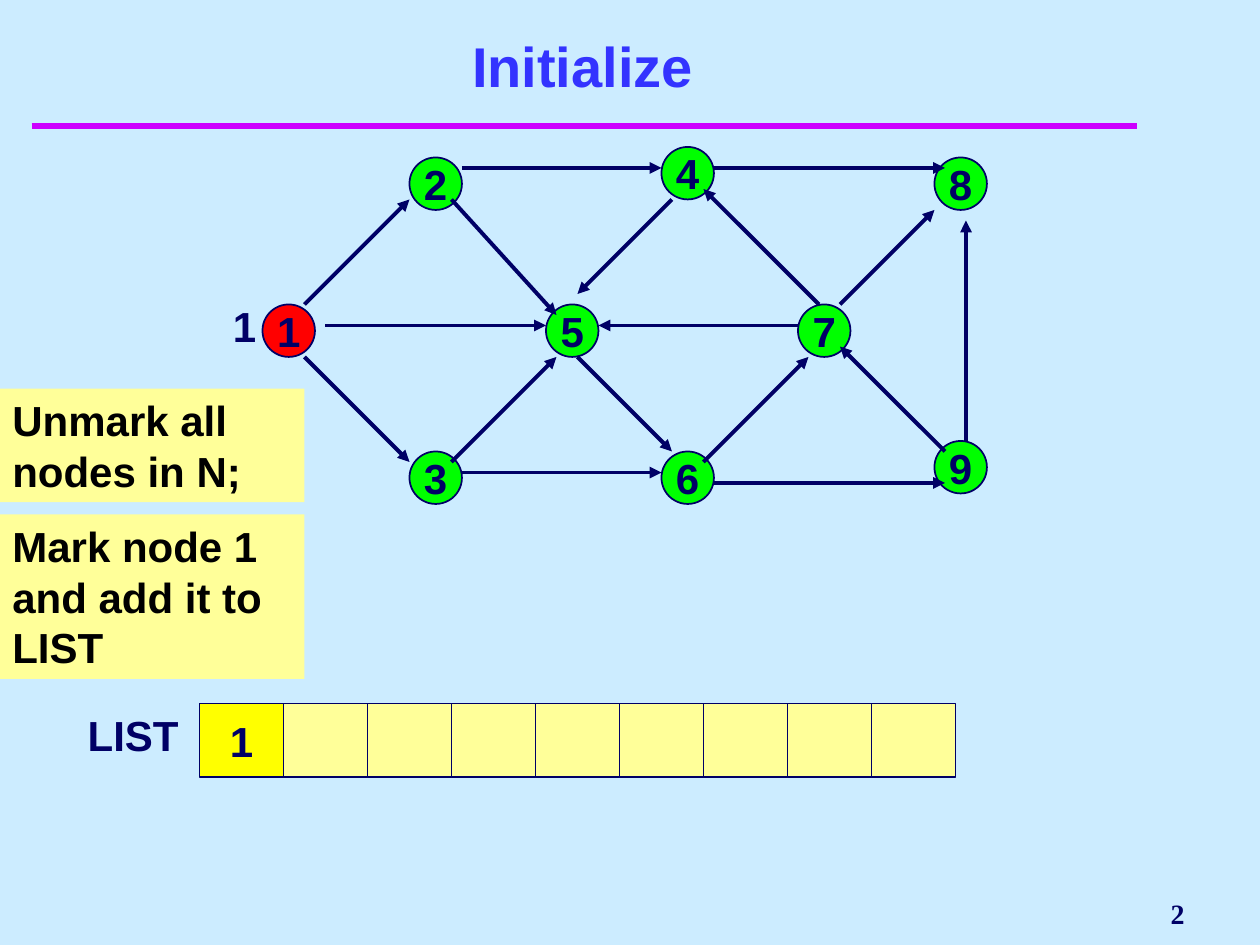
import pptx
import pptx.util
import pptx.dml.color
import pptx.enum.shapes
import pptx.enum.text
import pptx.oxml.ns
import pptx.oxml.xmlchemy
import lxml.etree

Pt = pptx.util.Pt
SHAPE = pptx.enum.shapes.MSO_SHAPE
ALIGN = pptx.enum.text.PP_ALIGN
ANCHOR = pptx.enum.text.MSO_ANCHOR
qn = pptx.oxml.ns.qn

THEME = {
    "background": "CCECFF", "title": "3333FF", "rule": "CC00FF",
    "ink": "000066", "black": "000000", "node": "00FF00", "marked": "FF0000",
    "panel": "FFFF99", "listed": "FFFF00",
    "font": "Arial", "number_font": "Times New Roman",
    "title_size": 32, "text_size": 24, "number_size": 16,
    "outline": 1, "arrow": 2.25, "rule_width": 4,
}

# Lengths in points; graph points lie on a 6-point grid.
TITLE = "Initialize"
SLIDE_NUMBER = "2"
STEPS = [
    ("Unmark all nodes in N;", (0, 222, 174, 65)),
    ("Mark node 1 and add it to LIST", (0, 294, 174, 94)),
]
MARKED_NODE = "1"
NODE_SIZE = 30
NODES = {
    "1": (150, 174), "2": (234, 90), "3": (234, 258),
    "4": (378, 84), "5": (312, 174), "6": (378, 258),
    "7": (456, 174), "8": (534, 90), "9": (534, 252),
}
ARCS = {  # (from node, to node): start and end points
    ("1", "2"): (174, 174, 234, 114),
    ("1", "3"): (174, 204, 234, 264),
    ("1", "5"): (186, 186, 312, 186),
    ("2", "4"): (264, 96, 378, 96),
    ("2", "5"): (258, 114, 318, 180),
    ("3", "5"): (258, 264, 318, 204),
    ("3", "6"): (264, 270, 378, 270),
    ("4", "5"): (384, 114, 330, 168),
    ("4", "8"): (408, 96, 540, 96),
    ("5", "6"): (330, 204, 384, 258),
    ("6", "7"): (402, 264, 462, 204),
    ("6", "9"): (408, 276, 540, 276),
    ("7", "4"): (468, 174, 402, 108),
    ("7", "5"): (456, 186, 342, 186),
    ("7", "8"): (480, 174, 534, 120),
    ("9", "7"): (540, 258, 480, 198),
    ("9", "8"): (552, 252, 552, 126),
}
LIST_LABEL = "LIST"
LIST_ITEMS = ["1"] + [""] * 8
LIST_ORIGIN = (114, 402)
CELL = (48, 42)


def color(name):
    return pptx.dml.color.RGBColor.from_string(THEME[name])


def write(shape, text, ink="ink", size="text_size", font="font",
          align=ALIGN.LEFT, anchor=ANCHOR.TOP, side=7.2, wrap=True):
    frame = shape.text_frame
    frame.auto_size = pptx.enum.text.MSO_AUTO_SIZE.NONE
    frame.word_wrap = wrap
    frame.vertical_anchor = anchor
    frame.margin_left = frame.margin_right = Pt(side)
    frame.margin_top = frame.margin_bottom = Pt(3.6)
    paragraph = frame.paragraphs[0]
    paragraph.alignment = align
    run = paragraph.add_run()
    run.text = text
    run.font.name = THEME[font]
    run.font.size = Pt(THEME[size])
    run.font.bold = True
    run.font.color.rgb = color(ink)


def add_label(slide, text, box, **style):
    write(slide.shapes.add_textbox(*map(Pt, box)), text, **style)


def add_block(slide, kind, box, fill, outlined=True):
    block = slide.shapes.add_shape(kind, *map(Pt, box))
    block.shadow.inherit = False
    block.fill.solid()
    block.fill.fore_color.rgb = color(fill)
    if outlined:
        block.line.color.rgb = color("ink")
        block.line.width = Pt(THEME["outline"])
    else:
        block.line.fill.background()
    return block


def add_line(slide, ends, ink, width, arrow=False):
    line = slide.shapes.add_connector(
        pptx.enum.shapes.MSO_CONNECTOR.STRAIGHT, *map(Pt, ends))
    line.line.color.rgb = color(ink)
    line.line.width = Pt(THEME[width])
    properties = line._element.spPr
    if arrow:
        lxml.etree.SubElement(properties.find(qn("a:ln")), qn("a:tailEnd"),
                              type="triangle")
    lxml.etree.SubElement(properties, qn("a:effectLst"))


def add_heading(slide):
    title = slide.shapes.title
    title.left, title.top, title.width, title.height = map(Pt, (27, 18, 612, 42))
    write(title, TITLE, ink="title", size="title_size",
          align=ALIGN.CENTER, anchor=ANCHOR.BOTTOM)
    add_line(slide, (18, 72, 650, 72), "rule", "rule_width")
    add_label(slide, SLIDE_NUMBER, (546, 504, 138, 36), size="number_size",
              font="number_font", align=ALIGN.RIGHT, anchor=ANCHOR.MIDDLE)


def add_graph(slide):
    for node, (x, y) in NODES.items():
        fill = "marked" if node == MARKED_NODE else "node"
        circle = add_block(slide, SHAPE.OVAL, (x, y, NODE_SIZE, NODE_SIZE), fill)
        write(circle, node, align=ALIGN.CENTER, anchor=ANCHOR.MIDDLE,
              side=0, wrap=False)
    for ends in ARCS.values():
        add_line(slide, ends, "ink", "arrow", arrow=True)
    add_label(slide, MARKED_NODE, (126, 168, 24, 36))


def add_steps(slide):
    for step, box in STEPS:
        panel = add_block(slide, SHAPE.RECTANGLE, box, "panel", outlined=False)
        write(panel, step, ink="black")


def add_list(slide):
    add_label(slide, LIST_LABEL, (43, 402, 71, 36), wrap=False)
    left, top = LIST_ORIGIN
    width, height = CELL
    for index, item in enumerate(LIST_ITEMS):
        cell = add_block(slide, SHAPE.RECTANGLE,
                         (left + index * width, top, width, height),
                         "listed" if item else "panel")
        if item:
            write(cell, item, align=ALIGN.CENTER, anchor=ANCHOR.MIDDLE)


def main():
    deck = pptx.Presentation()
    deck.slide_width, deck.slide_height = Pt(720), Pt(540)
    slide = deck.slides.add_slide(deck.slide_layouts.get_by_name("Title Only"))
    slide.background.fill.solid()
    slide.background.fill.fore_color.rgb = color("background")
    add_heading(slide)
    add_graph(slide)
    add_steps(slide)
    add_list(slide)
    deck.save("out.pptx")


if __name__ == "__main__":
    main()
